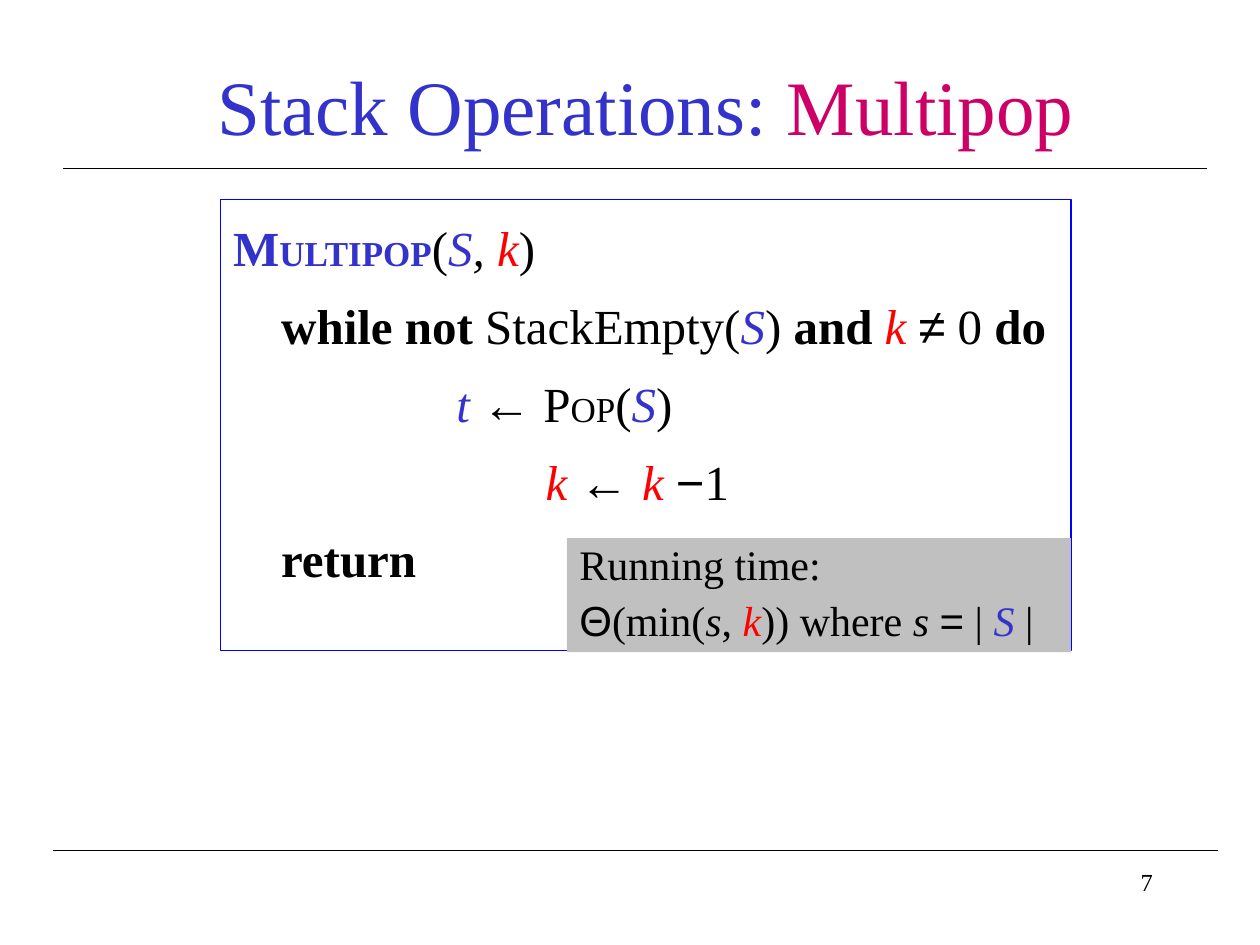
from pptx import Presentation
from pptx.dml.color import RGBColor
from pptx.enum.shapes import MSO_CONNECTOR, MSO_SHAPE
from pptx.enum.text import MSO_ANCHOR, PP_ALIGN
from pptx.oxml.ns import qn
from pptx.util import Cm, Pt

BLACK, BLUE, RED, MAGENTA = "000000", "3333CC", "FF0000", "CC0066"
BOLD = {"bold": True}
ITALIC = {"italic": True}
SYMBOL = {"name": "Arial"}
STACK = {"italic": True, "color": BLUE}
COUNT = {"italic": True, "color": RED}


def rgb(value):
    return RGBColor.from_string(value)


class SlideBuilder:
    def __init__(self, presentation):
        self.slide = presentation.slides.add_slide(presentation.slide_layouts[6])
        self.font_name = "Times New Roman"
        self.line_width = Pt(0.75)

    def rule(self, left, right, y):
        line = self.slide.shapes.add_connector(
            MSO_CONNECTOR.STRAIGHT, Cm(left), Cm(y), Cm(right), Cm(y))
        line.line.color.rgb = rgb(BLACK)
        line.line.width = self.line_width
        line._element.spPr.append(
            line._element.makeelement(qn("a:effectLst"), {}))

    def text(self, area, paragraphs, size, **frame_format):
        box = self.slide.shapes.add_textbox(*map(Cm, area))
        self.fill_text(box.text_frame, paragraphs, size, frame_format)

    def panel(self, area, paragraphs, size, fill=None, border=None, **frame_format):
        shape = self.slide.shapes.add_shape(MSO_SHAPE.RECTANGLE, *map(Cm, area))
        shape.shadow.inherit = False
        if fill:
            shape.fill.solid()
            shape.fill.fore_color.rgb = rgb(fill)
        else:
            shape.fill.background()
        if border:
            shape.line.color.rgb = rgb(border)
            shape.line.width = self.line_width
        else:
            shape.line.fill.background()
        self.fill_text(shape.text_frame, paragraphs, size, frame_format)

    def fill_text(self, frame, paragraphs, size, frame_format):
        """Write paragraphs given as (paragraph format, runs) pairs."""
        frame.word_wrap = True
        for name, value in frame_format.items():
            setattr(frame, name, value)
        for index, (paragraph_format, runs) in enumerate(paragraphs):
            paragraph = frame.add_paragraph() if index else frame.paragraphs[0]
            settings = {"alignment": PP_ALIGN.LEFT, **paragraph_format}
            indent = settings.pop("indent", 0)
            if indent:
                paragraph._p.get_or_add_pPr().set("marL", str(Cm(indent)))
            for name, value in settings.items():
                setattr(paragraph, name, value)
            for words, run_format in runs:
                self.add_run(paragraph, words, size, run_format)

    def add_run(self, paragraph, words, size, run_format):
        run = paragraph.add_run()
        run.text = words
        settings = {"name": self.font_name, "size": Pt(size), **run_format}
        run.font.color.rgb = rgb(settings.pop("color", BLACK))
        for name, value in settings.items():
            setattr(run.font, name, value)


def code_line(indent, *runs):
    line_format = {"indent": indent, "line_spacing": 0.8, "space_before": Pt(17.5)}
    return line_format, runs


def main():
    presentation = Presentation()
    presentation.slide_width, presentation.slide_height = Cm(25.4), Cm(19.05)
    builder = SlideBuilder(presentation)

    builder.rule(1.06, 24.56, 17.14)
    builder.text((18.2, 17.36, 5.29, 1.27),
                 [({"alignment": PP_ALIGN.RIGHT}, [("7", {})])], 14)

    title = [("Stack Operations: ", {"color": BLUE}), ("Multipop", {"color": MAGENTA})]
    builder.text((1.9, 1.06, 22.23, 2.12), [({"alignment": PP_ALIGN.CENTER}, title)],
                 44, vertical_anchor=MSO_ANCHOR.MIDDLE)
    builder.rule(1.27, 24.34, 3.39)

    plain = {}
    small_capitals = {"size": Pt(20)}
    name_format = {"bold": True, "color": BLUE}
    algorithm = [
        ({"line_spacing": 1.1},
         [("M", name_format), ("ULTIPOP", {**name_format, **small_capitals}),
          ("(", plain), ("S", STACK), (", ", ITALIC), ("k", COUNT), (")", plain)]),
        code_line(0.97, ("while not", BOLD), (" StackEmpty(", plain), ("S", STACK),
                  (") ", plain), ("and ", BOLD), ("k ", COUNT), ("≠", SYMBOL),
                  (" 0 ", plain), ("do", BOLD)),
        code_line(4.5, ("t ", STACK), ("←", SYMBOL), (" P", plain),
                  ("OP", small_capitals), ("(", plain), ("S", STACK), (")", plain)),
        code_line(6.3, ("k ", COUNT), ("← ", SYMBOL), ("k ", COUNT),
                  ("−", SYMBOL), ("1", plain)),
        code_line(0.97, ("return", BOLD)),
    ]
    builder.panel((4.45, 4.02, 17.14, 9.1), algorithm, 28, border="0000FF",
                  vertical_anchor=MSO_ANCHOR.TOP, margin_top=Cm(0.25))

    running_time = [
        ({"line_spacing": 0.9}, [("Running time:", plain)]),
        ({"line_spacing": 0.9, "space_before": Pt(6)},
         [("Θ", SYMBOL), ("(min(", plain), ("s", ITALIC), (", ", plain), ("k", COUNT),
          (")) where ", plain), ("s ", ITALIC), ("=", SYMBOL), (" | ", plain),
          ("S", STACK), (" |", plain)]),
    ]
    builder.panel((11.43, 10.85, 10.16, 2.3), running_time, 24, fill="C0C0C0",
                  vertical_anchor=MSO_ANCHOR.TOP)

    presentation.save("out.pptx")


if __name__ == "__main__":
    main()
